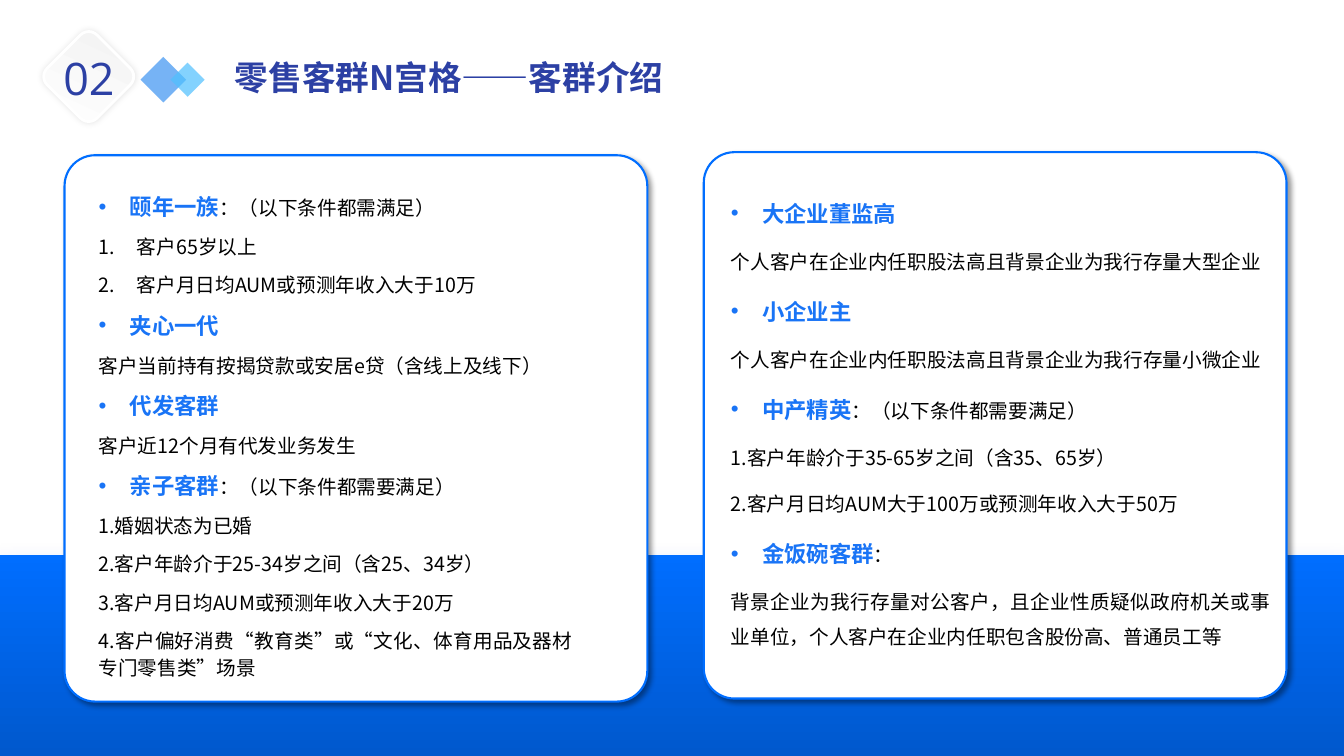
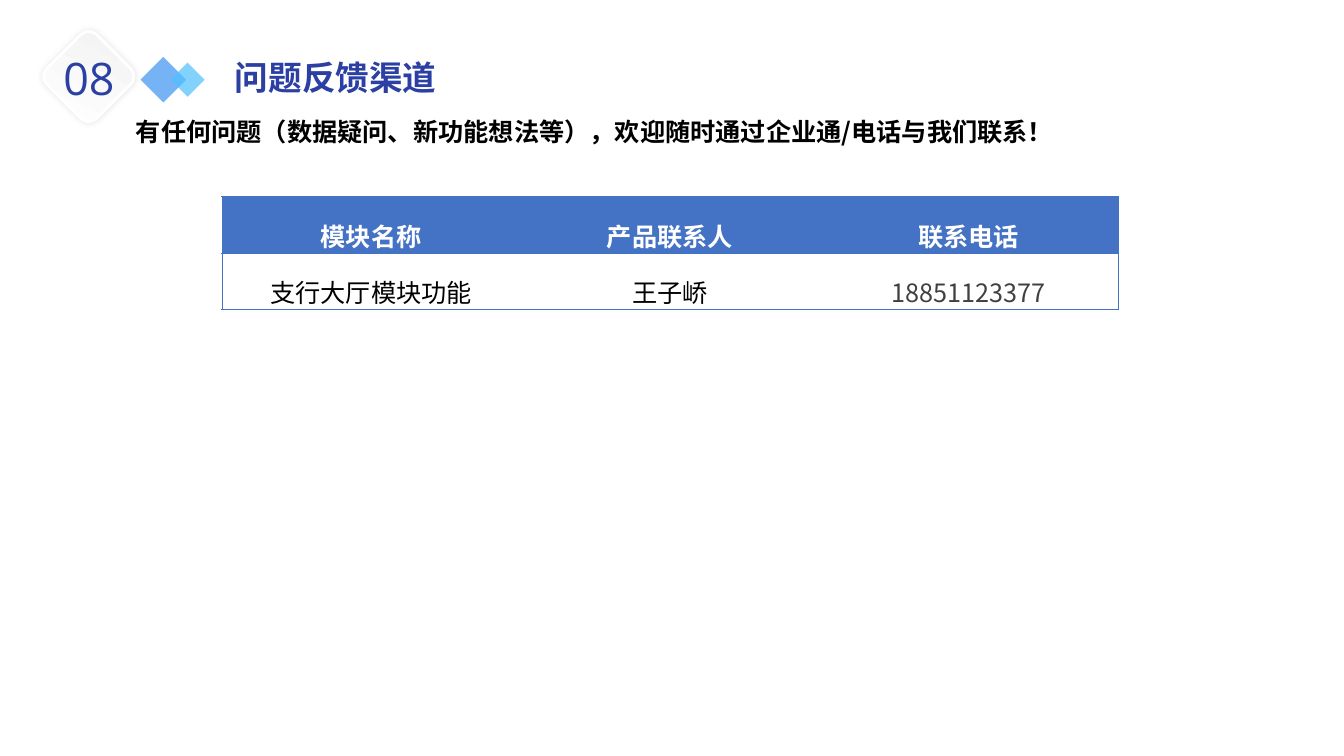
from pptx import Presentation
from pptx.dml.color import RGBColor
from pptx.enum.shapes import MSO_SHAPE as SHAPE
from pptx.enum.text import MSO_ANCHOR as ANCHOR, MSO_AUTO_SIZE as AUTO, PP_ALIGN as ALIGN
from pptx.oxml import parse_xml
from pptx.oxml.ns import nsdecls, qn
from pptx.oxml.xmlchemy import OxmlElement
from pptx.util import Inches, Pt

SANS, DIGITS = "Noto Sans CJK SC", "Open Sans"
NAVY, BLUE, DEEP, ACCENT = "2C40A4", "006EFF", "0058CD", "1974F6"
TABLE_BLUE, WHITE, PALE, BLACK, GREY = "4472C4", "FFFFFF", "F2F2F2", "000000", "404040"
HEAD = dict(size=16, color=ACCENT, bold=True)
BODY = dict(size=14, color=BLACK, bold=False)
TITLE = dict(size=24, color=NAVY, bold=True)
NUMBER = dict(size=32, color=NAVY, name=DIGITS)
NOTE = dict(size=18, color=BLACK, bold=True)

LEFT_GROUPS = [
    ("head", "颐年一族", "：（以下条件都需满足）"),
    ("number", "客户65岁以上"),
    ("number", "客户月日均AUM或预测年收入大于10万"),
    ("head", "夹心一代"),
    ("plain", "客户当前持有按揭贷款或安居e贷（含线上及线下）"),
    ("head", "代发客群"),
    ("plain", "客户近12个月有代发业务发生"),
    ("head", "亲子客群", "：（以下条件都需要满足）"),
    ("plain", "1.婚姻状态为已婚"),
    ("plain", "2.客户年龄介于25-34岁之间（含25、34岁）"),
    ("plain", "3.客户月日均AUM或预测年收入大于20万"),
    ("plain", "4.客户偏好消费“教育类”或“文化、体育用品及器材专门零售类”场景"),
]
RIGHT_GROUPS = [
    ("head", "大企业董监高"),
    ("plain", "个人客户在企业内任职股法高且背景企业为我行存量大型企业"),
    ("head", "小企业主"),
    ("plain", "个人客户在企业内任职股法高且背景企业为我行存量小微企业"),
    ("head", "中产精英", "：（以下条件都需要满足）"),
    ("plain", "1.客户年龄介于35-65岁之间（含35、65岁）"),
    ("plain", "2.客户月日均AUM大于100万或预测年收入大于50万"),
    ("head", "金饭碗客群", "："),
    ("plain", "背景企业为我行存量对公客户，且企业性质疑似政府机关或事业单位，"
              "个人客户在企业内任职包含股份高、普通员工等"),
]
CARDS = [
    dict(box=(0.64, 1.54, 5.78, 5.42), text=(0.88, 1.83, 4.9, 4.99), spacing=1.15, groups=LEFT_GROUPS),
    dict(box=(6.98, 1.51, 5.78, 5.42), text=(7.15, 1.8, 5.55, 4.69), spacing=1.5, groups=RIGHT_GROUPS),
]
FEEDBACK = "有任何问题（数据疑问、新功能想法等），欢迎随时通过企业通/电话与我们联系！"
CONTACTS = [
    ("模块名称", "产品联系人", "联系电话"),
    ("支行大厅模块功能", "王子峤", "18851123377"),
]
ROW_HEIGHT = 0.56
LIST_MARKS = {
    "head": (0.31, [("a:buFont", {"typeface": "Arial"}), ("a:buChar", {"char": "•"})]),
    "number": (0.38, [("a:buAutoNum", {"type": "arabicPeriod"})]),
}


def rgb(color):
    return RGBColor.from_string(color)


def inches(box):
    return [Inches(v) for v in box]


def add_run(p, text, size, color, bold=False, name=SANS):
    r = p.add_run()
    r.text = text
    for key, value in dict(size=Pt(size), bold=bold, name=name).items():
        setattr(r.font, key, value)
    r.font.color.rgb = rgb(color)
    ea = OxmlElement("a:ea")
    ea.set("typeface", name)
    r.font._element.find(qn("a:latin")).addnext(ea)


def add_text(s, box, wrap=True):
    tf = s.shapes.add_textbox(*inches(box)).text_frame
    tf.word_wrap = wrap
    return tf


def add_shape(s, kind, box, fill, angle=90, alpha=None, line=None, shadow=None, rotation=0, adj=None):
    sp = s.shapes.add_shape(kind, *inches(box))
    sp.rotation = rotation
    if adj is not None:
        sp.adjustments[0] = adj
    if isinstance(fill, tuple):
        sp.fill.gradient()
        sp.fill.gradient_angle = 360 - angle
        for stop, color in zip(sp.fill.gradient_stops, fill):
            stop.color.rgb = rgb(color)
    else:
        sp.fill.solid()
        sp.fill.fore_color.rgb = rgb(fill)
    if alpha:
        node = OxmlElement("a:alpha")
        node.set("val", str(alpha * 1000))
        sp.element.spPr.find(qn("a:solidFill"))[0].append(node)
    if line:
        sp.line.color.rgb = rgb(line[0])
        sp.line.width = Pt(line[1])
    else:
        sp.line.fill.background()
    sp.shadow.inherit = False
    if shadow:
        color, opacity, blur, distance, direction = shadow
        sp.element.spPr.find(qn("a:effectLst")).append(parse_xml(
            f'<a:outerShdw {nsdecls("a")} blurRad="{Pt(blur)}" dist="{Pt(distance)}" '
            f'dir="{direction * 60000}" algn="ctr" rotWithShape="0"><a:srgbClr val="{color}">'
            f'<a:alpha val="{opacity * 1000}"/></a:srgbClr></a:outerShdw>'))
    return sp


def decorate_layout(layout, s):
    marks = [
        add_shape(s, SHAPE.RECTANGLE, (1.46, 0.63, 0.32, 0.32), "3C93F1", alpha=70, rotation=225),
        add_shape(s, SHAPE.RECTANGLE, (1.74, 0.67, 0.24, 0.24), "4FC0FE", alpha=70, rotation=225),
        add_shape(s, SHAPE.ROUNDED_RECTANGLE, (0.53, 0.41, 0.7, 0.7), (WHITE, PALE), angle=250,
                  line=(WHITE, 2), shadow=(BLACK, 11, 5, 0, 0), rotation=45),
    ]
    for sp in marks:
        layout.shapes.element.append(sp.element)


def add_heading(s, number, title):
    sp = s.shapes.title
    sp.left, sp.top, sp.width, sp.height = inches((2.23, 0.43, 8.46, 0.71))
    tf = sp.text_frame
    tf.vertical_anchor, tf.auto_size = ANCHOR.MIDDLE, AUTO.NONE
    p = tf.paragraphs[0]
    p.alignment, p.line_spacing = ALIGN.LEFT, 0.9
    add_run(p, title, **TITLE)
    tf = add_text(s, (0.53, 0.45, 0.71, 0.64), wrap=False)
    add_run(tf.paragraphs[0], number, **NUMBER)


def add_mark(p, kind):
    indent, nodes = LIST_MARKS[kind]
    pPr = p._p.get_or_add_pPr()
    pPr.set("marL", str(Inches(indent)))
    pPr.set("indent", str(-Inches(indent)))
    for tag, attrs in nodes:
        mark = OxmlElement(tag)
        for key, value in attrs.items():
            mark.set(key, value)
        pPr.append(mark)


def add_card_text(s, box, groups, spacing):
    tf = add_text(s, box)
    for i, (kind, text, *rest) in enumerate(groups):
        p = tf.add_paragraph() if i else tf.paragraphs[0]
        if kind in LIST_MARKS:
            add_mark(p, kind)
        p.alignment, p.line_spacing, p.space_after = ALIGN.JUSTIFY, spacing, Pt(8)
        add_run(p, text, **(HEAD if kind == "head" else BODY))
        for tail in rest:
            add_run(p, tail, **BODY)


def set_borders(cell, colors):
    tcPr = cell._tc.get_or_add_tcPr()
    for side, color in colors.items():
        paint = f'<a:solidFill><a:srgbClr val="{color}"/></a:solidFill>' if color else "<a:noFill/>"
        tcPr.append(parse_xml(f'<a:ln{side} {nsdecls("a")} w="{Pt(0.5)}">{paint}</a:ln{side}>'))


def add_contacts(s, left, top, width, rows):
    count = len(rows[0])
    box = inches((left, top, width, ROW_HEIGHT * len(rows)))
    table = s.shapes.add_table(len(rows), count, *box).table
    table.horz_banding = False
    for i, row in enumerate(rows):
        for j, text in enumerate(row):
            cell = table.cell(i, j)
            cell.margin_top, cell.margin_bottom = Inches(0.02), 0
            set_borders(cell, dict(L=None if j else TABLE_BLUE,
                                   R=TABLE_BLUE if j == count - 1 else None,
                                   T=TABLE_BLUE, B=TABLE_BLUE))
            cell.fill.solid()
            cell.fill.fore_color.rgb = rgb(WHITE if i else TABLE_BLUE)
            p = cell.text_frame.paragraphs[0]
            p.alignment, p.line_spacing = ALIGN.CENTER, 1.5
            color = WHITE if i == 0 else GREY if j == count - 1 else BLACK
            add_run(p, text, size=18, color=color, bold=i == 0)


def build_groups(s):
    add_heading(s, "02", "零售客群N宫格——客群介绍")
    add_shape(s, SHAPE.RECTANGLE, (0, 5.51, 13.33, 1.99), (BLUE, DEEP),
              shadow=("0053FA", 50, 25, 15, 90))
    for card in CARDS:
        add_shape(s, SHAPE.ROUNDED_RECTANGLE, card["box"], WHITE, line=(BLUE, 1.5),
                  shadow=(BLACK, 40, 4, 3, 45), adj=0.056)
        add_card_text(s, card["text"], card["groups"], card["spacing"])


def build_feedback(s):
    add_heading(s, "08", "问题反馈渠道")
    add_contacts(s, 2.2, 1.95, 8.89, CONTACTS)
    p = add_text(s, (1.25, 1.03, 10.8, 0.92)).paragraphs[0]
    p.line_spacing = 1.25
    add_run(p, FEEDBACK, **NOTE)


def main():
    prs = Presentation()
    prs.slide_width, prs.slide_height = inches((13.33, 7.5))
    layout = prs.slide_layouts[5]
    groups, feedback = (prs.slides.add_slide(layout) for _ in range(2))
    decorate_layout(layout, groups)
    build_groups(groups)
    build_feedback(feedback)
    prs.save("out.pptx")


if __name__ == "__main__":
    main()
